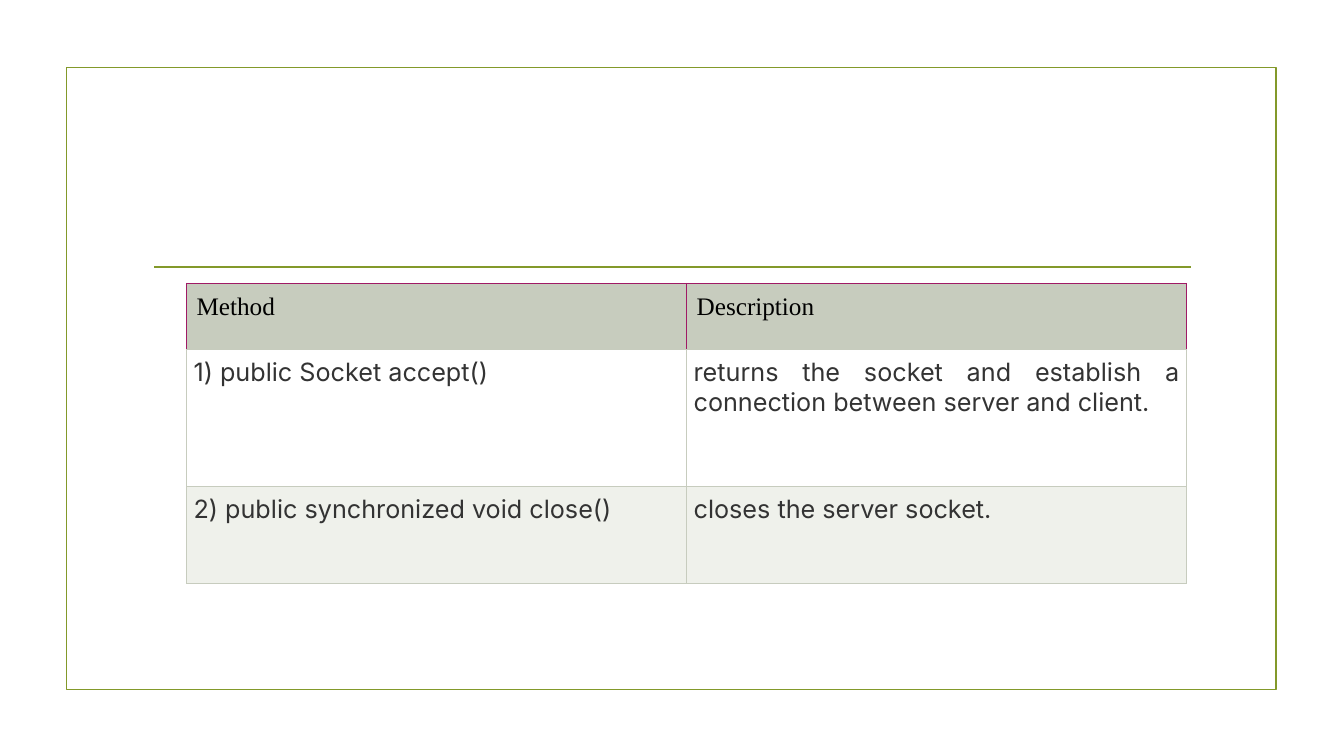
from lxml import etree
from pptx import Presentation
from pptx.dml.color import RGBColor
from pptx.enum.shapes import MSO_CONNECTOR, MSO_SHAPE
from pptx.enum.text import PP_ALIGN
from pptx.oxml.ns import qn
from pptx.util import Inches, Pt

RECT = MSO_SHAPE.RECTANGLE
STRAIGHT = MSO_CONNECTOR.STRAIGHT
LEFT, JUSTIFY = PP_ALIGN.LEFT, PP_ALIGN.JUSTIFY

COLORS = {
    "olive": "83992A",
    "sage": "C7CCBE",
    "pale": "EFF1EB",
    "white": "FFFFFF",
    "plum": "A01A65",
    "black": "000000",
    "gray": "333333",
}


def color(name):
    return RGBColor.from_string(COLORS[name])


def border(cell, side, name):
    props = cell._tc.get_or_add_tcPr()
    line = etree.SubElement(props, qn(f"a:ln{side}"), w=str(Pt(0.6)))
    fill = etree.SubElement(line, qn("a:solidFill"))
    etree.SubElement(fill, qn("a:srgbClr"), val=COLORS[name])


deck = Presentation()
deck.slide_width = Inches(13.33)
deck.slide_height = Inches(7.5)
slide = deck.slides.add_slide(deck.slide_layouts[6])

frame = slide.shapes.add_shape(RECT, Inches(0.66), Inches(0.67), Inches(12), Inches(6.17))
frame.shadow.inherit = False
frame.fill.background()

rule = slide.shapes.add_connector(
    STRAIGHT, Inches(1.53), Inches(2.65), Inches(11.81), Inches(2.65)
)
etree.SubElement(rule._element.spPr, qn("a:effectLst"))

for shape in (frame, rule):
    shape.line.color.rgb = color("olive")
    shape.line.width = Pt(1.25)

ROWS = [
    (0.66, "sage", ["Method", "Description"]),
    (1.36, "white", [
        "1) public Socket accept()",
        "returns the socket and establish a connection between server and client.",
    ]),
    (0.96, "pale", ["2) public synchronized void close()", "closes the server socket."]),
]

table = slide.shapes.add_table(
    len(ROWS), 2, Inches(1.85), Inches(2.81), Inches(9.92), Inches(2.98)
).table
for col in table.columns:
    col.width = Inches(4.96)

for i, (height, fill, texts) in enumerate(ROWS):
    table.rows[i].height = Inches(height)
    head = i == 0
    inset = Inches(0.1 if head else 0.07)
    for j, text in enumerate(texts):
        cell = table.cell(i, j)
        cell.margin_left = cell.margin_right = inset
        cell.margin_top = cell.margin_bottom = inset
        for side in "LRTB":
            border(cell, side, "plum" if head and side != "B" else "sage")
        cell.fill.solid()
        cell.fill.fore_color.rgb = color(fill)
        cell.text = text
        para = cell.text_frame.paragraphs[0]
        para.alignment = LEFT if head else JUSTIFY
        para.font.name = "Times New Roman" if head else "Inter"
        para.font.size = Pt(18)
        para.font.bold = False
        para.font.color.rgb = color("black" if head else "gray")

deck.save("out.pptx")
